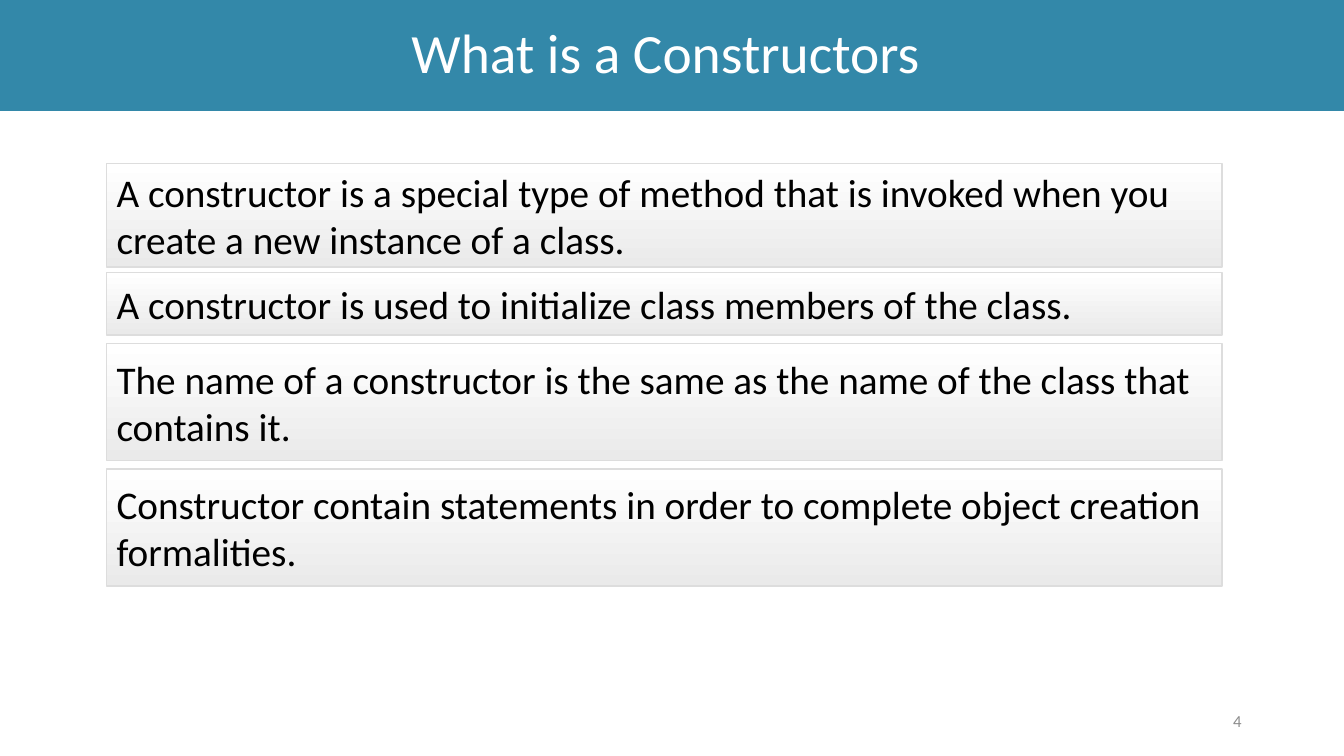
from dataclasses import dataclass

import pptx
import pptx.dml.color
import pptx.enum.shapes
import pptx.enum.text
import pptx.util

Pt = pptx.util.Pt
ALIGN = pptx.enum.text.PP_ALIGN
FONT = "Calibri"
COLORS = {
    "banner": "3388A9",
    "title": "FFFFFF",
    "text": "000000",
    "number": "8C8C8C",
    "border": "DDDDDD",
    "card_top": "FFFFFF",
    "card_bottom": "EAEAEA",
}
CARD_LEFT, CARD_WIDTH = 76.2, 796.6


@dataclass
class Card:
    top: float
    height: float
    text: str


CARDS = [
    Card(116.7, 74, "A constructor is a special type of method that is invoked when you "
                    "create a new instance of a class."),
    Card(194.6, 44.6, "A constructor is used to initialize class members of the class."),
    Card(245.5, 83.5, "The name of a constructor is the same as the name of the class that "
                      "contains it."),
    Card(335, 83.5, "Constructor contain statements in order to complete object creation "
                    "formalities."),
]


def rgb(name: str) -> pptx.dml.color.RGBColor:
    return pptx.dml.color.RGBColor.from_string(COLORS[name])


def write(sp, text: str, size: float, color: str, align) -> None:
    tf = sp.text_frame
    tf.word_wrap = True
    tf.auto_size = pptx.enum.text.MSO_AUTO_SIZE.NONE
    tf.vertical_anchor = pptx.enum.text.MSO_ANCHOR.MIDDLE
    p = tf.paragraphs[0]
    p.alignment = align
    r = p.add_run()
    r.text = text
    r.font.name = FONT
    r.font.size = Pt(size)
    r.font.color.rgb = rgb(color)


def add_title(s, text: str) -> None:
    sp = s.shapes.title
    sp.left, sp.top, sp.width, sp.height = Pt(0), Pt(0), Pt(960), Pt(79.2)
    sp.fill.solid()
    sp.fill.fore_color.rgb = rgb("banner")
    write(sp, text, 39.6, "title", ALIGN.CENTER)
    sp.text_frame.margin_right = Pt(16.2)
    sp.text_frame.paragraphs[0].line_spacing = 0.9


def add_card(s, card: Card) -> None:
    sp = s.shapes.add_shape(
        pptx.enum.shapes.MSO_SHAPE.RECTANGLE,
        Pt(CARD_LEFT), Pt(card.top), Pt(CARD_WIDTH), Pt(card.height),
    )
    sp.shadow.inherit = False
    sp.fill.gradient()
    sp.fill.gradient_angle = 270
    for stop, color in zip(sp.fill.gradient_stops, ("card_top", "card_bottom")):
        stop.color.rgb = rgb(color)
    sp.line.color.rgb = rgb("border")
    sp.line.width = Pt(1)
    write(sp, card.text, 28, "text", ALIGN.LEFT)


def main() -> None:
    prs = pptx.Presentation()
    prs.slide_width, prs.slide_height = Pt(960), Pt(540)
    s = prs.slides.add_slide(prs.slide_layouts.get_by_name("Title Only"))
    add_title(s, "What is a Constructors")
    number = s.shapes.add_textbox(Pt(678), Pt(500.5), Pt(216), Pt(28.8))
    write(number, "4", 12, "number", ALIGN.RIGHT)
    for card in CARDS:
        add_card(s, card)
    prs.save("out.pptx")


if __name__ == "__main__":
    main()
